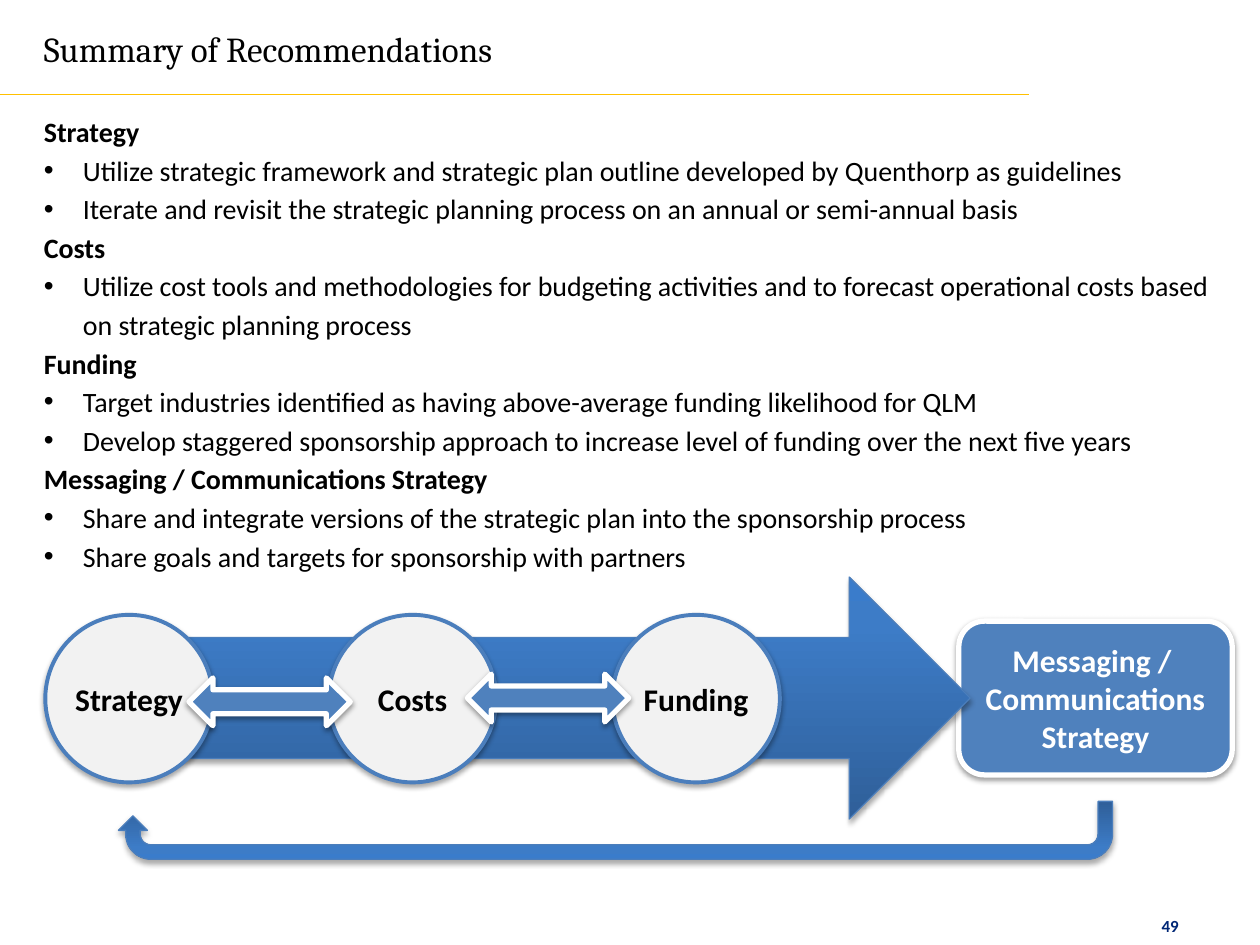
from copy import deepcopy
from dataclasses import dataclass

from lxml.etree import SubElement
from pptx import Presentation
from pptx.dml.color import RGBColor
from pptx.enum.shapes import MSO_CONNECTOR, MSO_SHAPE
from pptx.enum.text import MSO_ANCHOR, PP_ALIGN
from pptx.oxml.ns import qn
from pptx.util import Inches, Pt

BLACK = RGBColor(0x00, 0x00, 0x00)
WHITE = RGBColor(0xFF, 0xFF, 0xFF)
NAVY = RGBColor(0x00, 0x27, 0x76)
GOLD = RGBColor(0xFF, 0xC0, 0x00)
BLUE = RGBColor(0x4F, 0x81, 0xBD)
EDGE_BLUE = RGBColor(0x4B, 0x7E, 0xBC)
PALE_GREY = RGBColor(0xF2, 0xF2, 0xF2)
GRADIENT = [
    (0, RGBColor(0x2F, 0x5F, 0x99)),
    (0.8, RGBColor(0x3D, 0x7C, 0xC7)),
    (1, RGBColor(0x3A, 0x7C, 0xCB)),
]


@dataclass
class Box:
    left: float
    top: float
    width: float
    height: float

    def lengths(self):
        return [Inches(v) for v in (self.left, self.top, self.width, self.height)]


@dataclass
class Style:
    fill: RGBColor | None  # None means the blue gradient
    line: RGBColor
    line_width: float
    shadow_alpha: int
    shadow_distance: float


@dataclass
class Section:
    heading: str
    points: list[str]


CIRCLE = Style(PALE_GREY, EDGE_BLUE, 2.25, 35, 1.8)
BLOCK = Style(BLUE, WHITE, 3, 38, 1.6)
FLOW = Style(None, EDGE_BLUE, 0.75, 35, 1.8)

SECTIONS = [
    Section("Strategy", [
        "Utilize strategic framework and strategic plan outline developed by Quenthorp as guidelines",
        "Iterate and revisit the strategic planning process on an annual or semi-annual basis",
    ]),
    Section("Costs", [
        "Utilize cost tools and methodologies for budgeting activities and to forecast "
        "operational costs based on strategic planning process",
    ]),
    Section("Funding", [
        "Target industries identified as having above-average funding likelihood for QLM",
        "Develop staggered sponsorship approach to increase level of funding over the next five years",
    ]),
    Section("Messaging / Communications Strategy", [
        "Share and integrate versions of the strategic plan into the sponsorship process",
        "Share goals and targets for sponsorship with partners",
    ]),
]


def format_runs(paragraph, size: float, color: RGBColor, bold: bool = False,
                font: str = "Calibri") -> None:
    for run in paragraph.runs:
        run.font.name = font
        run.font.size = Pt(size)
        run.font.bold = bold
        run.font.color.rgb = color


def add_text(slide, box: Box, text: str, size: float, color: RGBColor,
             bold: bool = False, font: str = "Calibri") -> None:
    frame = slide.shapes.add_textbox(*box.lengths()).text_frame
    frame.word_wrap = False
    frame.text = text
    format_runs(frame.paragraphs[0], size, color, bold, font)


def apply_gradient(shape) -> None:
    shape.fill.gradient()
    shape.fill.gradient_angle = 90
    stop_list = shape.element.spPr.find(qn("a:gradFill")).find(qn("a:gsLst"))
    stop_list.append(deepcopy(stop_list[-1]))
    for stop, (position, color) in zip(shape.fill.gradient_stops, GRADIENT):
        stop.position = position
        stop.color.rgb = color


def apply_shadow(shape, style: Style) -> None:
    shape.shadow.inherit = False
    effects = shape.element.spPr.find(qn("a:effectLst"))
    shadow = SubElement(effects, qn("a:outerShdw"), blurRad=str(Pt(3.1)),
                        dist=str(Pt(style.shadow_distance)), dir="5400000",
                        rotWithShape="0")
    color = SubElement(shadow, qn("a:srgbClr"), val=str(BLACK))
    SubElement(color, qn("a:alpha"), val=str(style.shadow_alpha * 1000))


def add_styled_shape(slide, preset: MSO_SHAPE, box: Box, style: Style):
    shape = slide.shapes.add_shape(preset, *box.lengths())
    if style.fill is None:
        apply_gradient(shape)
    else:
        shape.fill.solid()
        shape.fill.fore_color.rgb = style.fill
    shape.line.color.rgb = style.line
    shape.line.width = Pt(style.line_width)
    apply_shadow(shape, style)
    return shape


def label(shape, lines: list[str], color: RGBColor) -> None:
    frame = shape.text_frame
    frame.vertical_anchor = MSO_ANCHOR.MIDDLE
    frame.text = "\n".join(lines)
    for paragraph in frame.paragraphs:
        paragraph.alignment = PP_ALIGN.CENTER
        format_runs(paragraph, 18, color, bold=True)


def add_bullet(paragraph) -> None:
    properties = paragraph._p.get_or_add_pPr()
    properties.set("marL", str(Inches(0.31)))
    properties.set("indent", str(-Inches(0.31)))
    SubElement(properties, qn("a:buFont"), typeface="Arial")
    SubElement(properties, qn("a:buChar"), char="•")


def add_recommendations(slide, box: Box, sections: list[Section]) -> None:
    frame = slide.shapes.add_textbox(*box.lengths()).text_frame
    frame.word_wrap = True
    entries = [(text, text is section.heading) for section in sections
               for text in (section.heading, *section.points)]
    frame.text = "\n".join(text for text, _ in entries)
    for paragraph, (_, is_heading) in zip(frame.paragraphs, entries):
        paragraph.line_spacing = 1.15
        format_runs(paragraph, 16, BLACK, bold=is_heading)
        if not is_heading:
            add_bullet(paragraph)


def main() -> None:
    presentation = Presentation()
    presentation.slide_width = Inches(10)
    presentation.slide_height = Inches(7.5)
    slide = presentation.slides.add_slide(presentation.slide_layouts[6])

    # Page number, title and rule
    add_text(slide, Box(9.12, 7.22, 0.38, 0.15), "49", 9.7, NAVY, bold=True)
    add_text(slide, Box(0.25, 0.17, 3.94, 0.44), "Summary of Recommendations",
             20, BLACK, font="Cambria")
    rule = slide.shapes.add_connector(MSO_CONNECTOR.STRAIGHT, Inches(0), Inches(0.75),
                                      Inches(8.17), Inches(0.75))
    rule.line.color.rgb = GOLD
    rule.line.width = Pt(0.75)
    SubElement(rule._element.spPr, qn("a:effectLst"))

    # Outcome and the large arrow leading to it
    outcome = add_styled_shape(slide, MSO_SHAPE.ROUNDED_RECTANGLE,
                               Box(7.61, 4.93, 2.17, 1.22), BLOCK)
    label(outcome, ["Messaging / ", "Communications", "Strategy"], WHITE)
    add_styled_shape(slide, MSO_SHAPE.RIGHT_ARROW, Box(0.78, 4.58, 6.92, 1.92), FLOW)

    # Stages and the two-way arrows between them
    for index, stage in enumerate(["Strategy", "Costs", "Funding"]):
        circle = add_styled_shape(slide, MSO_SHAPE.OVAL,
                                  Box(0.36 + 2.25 * index, 4.88, 1.33, 1.33), CIRCLE)
        circle.text_frame.margin_left = circle.text_frame.margin_right = 0
        label(circle, [stage], BLACK)
    for left, top in [(1.5, 5.38), (3.71, 5.35)]:
        add_styled_shape(slide, MSO_SHAPE.LEFT_RIGHT_ARROW, Box(left, top, 1.28, 0.38), BLOCK)

    add_recommendations(slide, Box(0.25, 0.82, 9.5, 4.13), SECTIONS)

    # Feedback loop from the outcome to the first stage
    feedback = add_styled_shape(slide, MSO_SHAPE.U_TURN_ARROW,
                                Box(0.94, 6.36, 7.89, 0.46), FLOW)
    feedback.rotation = 180

    presentation.save("out.pptx")


if __name__ == "__main__":
    main()
